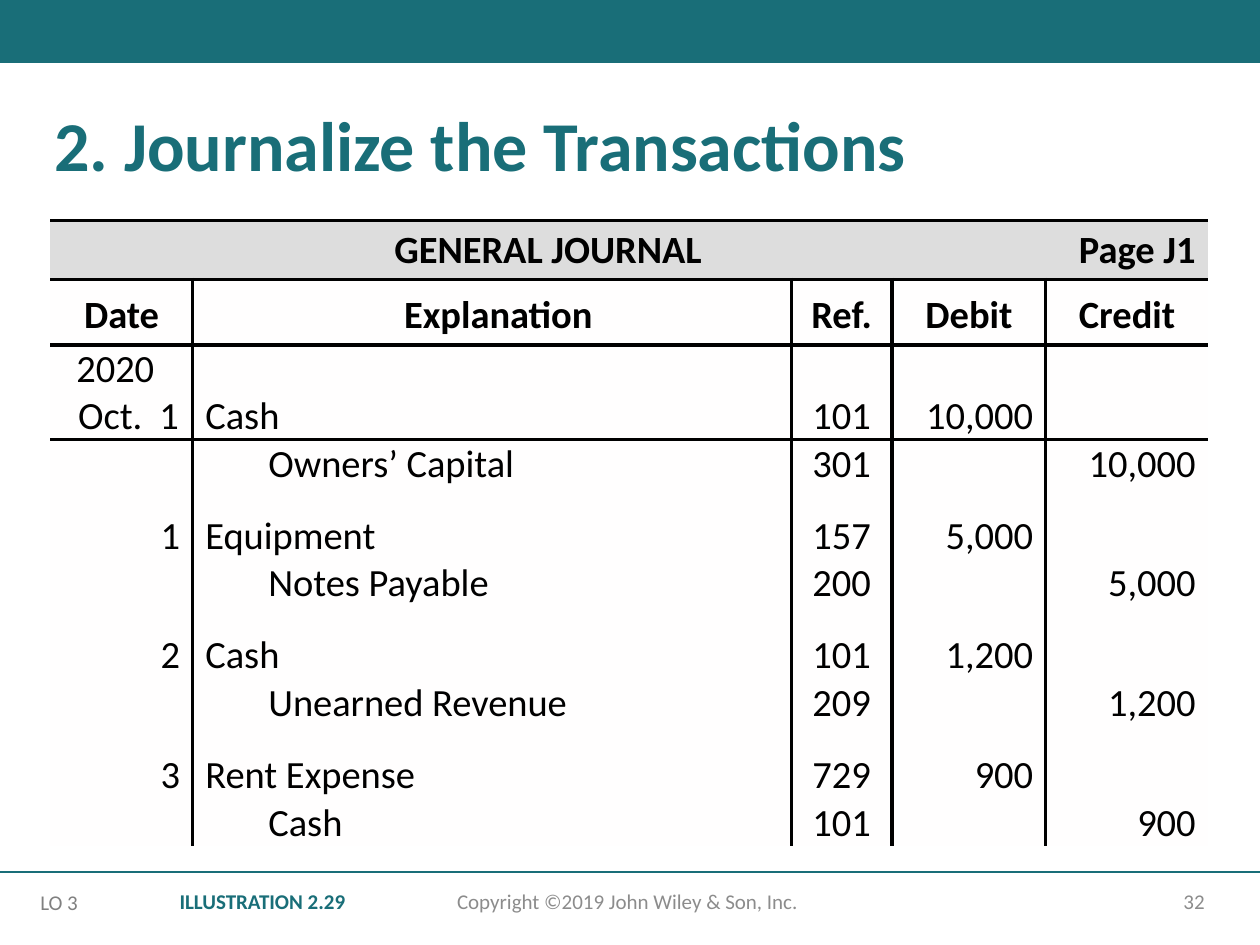
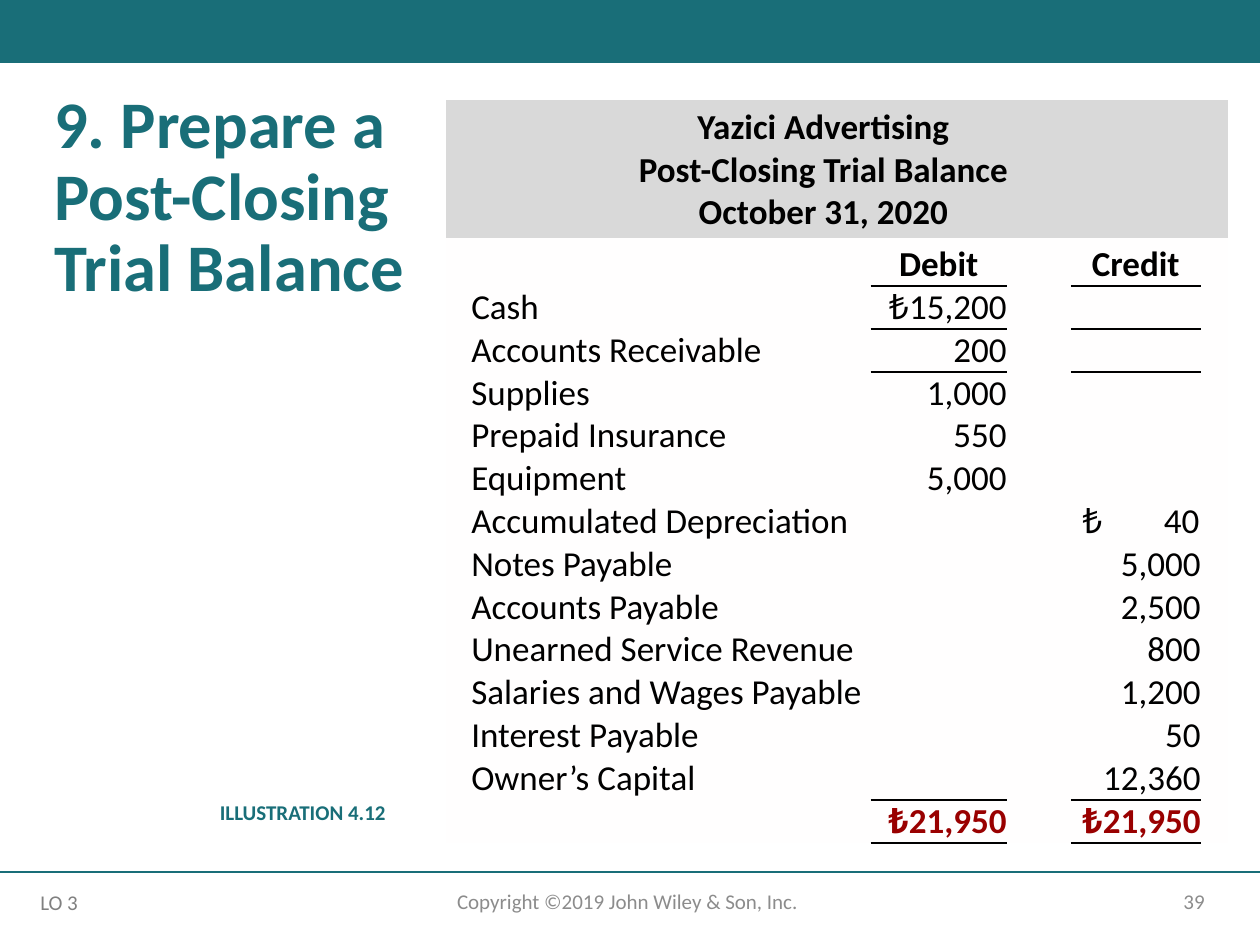
"""Builds two accounting slides: a general journal and a post-closing trial balance."""
from dataclasses import dataclass, replace
from typing import NamedTuple

from lxml.etree import SubElement
from pptx import Presentation
from pptx.dml.color import RGBColor
from pptx.enum.shapes import MSO_CONNECTOR, MSO_SHAPE
from pptx.enum.text import MSO_ANCHOR as Anchor, MSO_AUTO_SIZE as AutoSize, PP_ALIGN as Align
from pptx.oxml import parse_xml
from pptx.oxml.ns import nsdecls, qn
from pptx.util import Inches, Pt

FONT = "Calibri"
TITLE_ONLY = 5
NO_STYLE = "{2D5ABB26-0587-4C30-8999-92F81FD0307C}"
COLORS = {
    "teal": "196E78", "black": "000000", "paper": "FFFEFE", "journal_head": "DDDDDD",
    "balance_head": "D9D9D9", "footer": "8C8C8C", "objective": "808080", "total": "990000",
}


class Box(NamedTuple):
    left: float
    top: float
    width: float
    height: float

    def emu(self) -> tuple:
        return tuple(Inches(length) for length in self)


class Tab(NamedTuple):
    position: float
    align: str


@dataclass(frozen=True)
class Label:
    text: str
    box: Box
    color: str = "footer"
    align: Align = Align.RIGHT
    bold: bool = False
    anchor: Anchor = Anchor.MIDDLE
    inset: float = 0.1


@dataclass(frozen=True)
class CellLook:
    size: int
    align: Align = Align.CENTER
    bold: bool = False
    color: str = "black"
    fill: str = "paper"
    anchor: Anchor = Anchor.BOTTOM
    left: float = 0
    top: float = 0
    right: float = 0
    bottom: float = 0
    tabs: tuple = ()


class Entry(NamedTuple):
    date: str
    account: str
    ref: str
    debit: str
    credit: str


class Balance(NamedTuple):
    account: str
    debit: str
    credit: str


JOURNAL_COLUMNS = (1.13, 4.75, 0.8, 1.22, 1.29)
JOURNAL_HEADS = ("Date", "Explanation", "Ref.", "Debit", "Credit")
JOURNAL = (
    Entry("2020\n\tOct.\t1", "Cash", "101", "10,000", ""),
    Entry("", "Owners’ Capital", "301", "", "10,000"),
    Entry("1", "Equipment", "157", "5,000", ""),
    Entry("", "Notes Payable", "200", "", "5,000"),
    Entry("2", "Cash", "101", "1,200", ""),
    Entry("", "Unearned Revenue", "209", "", "1,200"),
    Entry("3", "Rent Expense", "729", "900", ""),
    Entry("", "Cash", "101", "", "900"),
)

BALANCE_COLUMNS = (3.37, 1.08, 0.51, 1.03, 0.22)
BALANCE_HEAD = "Yazici Advertising\nPost-Closing Trial Balance\nOctober 31, 2020"
BALANCES = (
    Balance("Cash", "₺15,200", ""),
    Balance("Accounts Receivable", "200", ""),
    Balance("Supplies", "1,000", ""),
    Balance("Prepaid Insurance", "550", ""),
    Balance("Equipment", "5,000", ""),
    Balance("Accumulated Depreciation", "", "₺\t40"),
    Balance("Notes Payable", "", "5,000"),
    Balance("Accounts Payable", "", "2,500"),
    Balance("Unearned Service Revenue", "", "800"),
    Balance("Salaries and Wages Payable", "", "1,200"),
    Balance("Interest Payable", "", "50"),
    Balance("Owner’s Capital", "", "12,360"),
    Balance("", "₺21,950", "₺21,950"),
)


def rgb(name: str) -> RGBColor:
    return RGBColor.from_string(COLORS[name])


def style_runs(paragraph, size: int, color: str, bold: bool) -> None:
    for run in paragraph.runs:
        run.font.name = FONT
        run.font.size = Pt(size)
        run.font.bold = bold
        run.font.color.rgb = rgb(color)


def add_label(slide, label: Label) -> None:
    frame = slide.shapes.add_textbox(*label.box.emu()).text_frame
    frame.word_wrap = True
    frame.vertical_anchor = label.anchor
    frame.margin_left = frame.margin_right = Inches(label.inset)
    frame.text = label.text
    paragraph = frame.paragraphs[0]
    paragraph.alignment = label.align
    style_runs(paragraph, 12, label.color, label.bold)


def add_illustration(slide, number: str, box: Box) -> None:
    add_label(slide, Label(f"ILLUSTRATION {number}", box, "teal", bold=True, anchor=Anchor.TOP))


def add_base_slide(deck, title: str, title_box: Box, title_size: int, page: str):
    slide = deck.slides.add_slide(deck.slide_layouts[TITLE_ONLY])
    band = slide.shapes.add_shape(MSO_SHAPE.RECTANGLE, *Box(0, 0, 10, 0.5).emu())
    band.shadow.inherit = False
    band.fill.solid()
    band.fill.fore_color.rgb = rgb("teal")
    band.line.fill.background()

    footer_rule = slide.shapes.add_connector(
        MSO_CONNECTOR.STRAIGHT, 0, Inches(6.92), Inches(10), Inches(6.92))
    footer_rule.line.color.rgb = rgb("teal")
    footer_rule.line.width = Pt(1)
    SubElement(footer_rule._element.spPr, qn("a:effectLst"))

    heading = slide.shapes.title
    heading.left, heading.top, heading.width, heading.height = title_box.emu()
    frame = heading.text_frame
    frame.text = title
    frame.word_wrap = True
    frame.auto_size = AutoSize.NONE
    frame.vertical_anchor = Anchor.TOP
    paragraph = frame.paragraphs[0]
    paragraph.alignment = Align.LEFT
    paragraph.line_spacing = 0.9
    style_runs(paragraph, title_size, "teal", True)

    add_label(slide, Label(page, Box(7.06, 6.95, 2.6, 0.4)))
    add_label(slide, Label("Copyright ©2019 John Wiley & Son, Inc.",
                           Box(3.29, 6.95, 3.38, 0.4), align=Align.CENTER))
    add_label(slide, Label("LO 3", Box(0.32, 7.01, 0.46, 0.3), "objective",
                           Align.LEFT, anchor=Anchor.TOP, inset=0))
    return slide


def add_grid(slide, box: Box, columns: tuple, rows: tuple):
    table = slide.shapes.add_table(len(rows), len(columns), *box.emu()).table
    table.first_row = table.horz_banding = False
    table._tbl.tblPr.find(qn("a:tableStyleId")).text = NO_STYLE
    for column, width in zip(table.columns, columns):
        column.width = Inches(width)
    for row, height in zip(table.rows, rows):
        row.height = Inches(height)
    return table


def fill_cell(cell, text: str, look: CellLook) -> None:
    cell.fill.solid()
    cell.fill.fore_color.rgb = rgb(look.fill)
    cell.vertical_anchor = look.anchor
    cell.margin_left, cell.margin_top = Inches(look.left), Inches(look.top)
    cell.margin_right, cell.margin_bottom = Inches(look.right), Inches(look.bottom)
    cell.text_frame.text = text
    for paragraph in cell.text_frame.paragraphs:
        paragraph.alignment = look.align
        if "\t" in paragraph.text:
            paragraph.alignment = Align.LEFT
            stops = SubElement(paragraph._p.get_or_add_pPr(), qn("a:tabLst"))
            for tab in look.tabs:
                SubElement(stops, qn("a:tab"), pos=str(Inches(tab.position)), algn=tab.align)
        style_runs(paragraph, look.size, look.color, look.bold)


def rule_cell(cell, sides: str, width: float) -> None:
    """Draws black borders on the sides, which are given in the order LRTB."""
    properties = cell._tc.get_or_add_tcPr()
    for index, side in enumerate(sides):
        properties.insert(index, parse_xml(
            f'<a:ln{side} {nsdecls("a")} w="{Pt(width)}"><a:solidFill>'
            f'<a:srgbClr val="{COLORS["black"]}"/></a:solidFill></a:ln{side}>'))


def build_journal(deck) -> None:
    slide = add_base_slide(deck, "2. Journalize the Transactions",
                           Box(0.33, 0.83, 9.3, 0.71), 40, "32")
    add_illustration(slide, "2.29", Box(1.17, 7, 1.67, 0.3))
    entry_heights = [0.75, 0.38] + [0.57, 0.38] * 3
    table = add_grid(slide, Box(0.4, 1.75, 9.19, 4.91), JOURNAL_COLUMNS,
                     (0.47, 0.52, *entry_heights))

    head = CellLook(22, bold=True, fill="journal_head", anchor=Anchor.MIDDLE, top=0.05, bottom=0.05)
    last = len(JOURNAL_COLUMNS) - 1
    for column in range(last):
        fill_cell(table.cell(0, column), "", head)
    table.cell(0, 0).merge(table.cell(0, last - 1))
    fill_cell(table.cell(0, 0), "GENERAL JOURNAL", head)
    fill_cell(table.cell(0, last), "Page J1", replace(head, align=Align.RIGHT, right=0.1))

    for column, name in enumerate(JOURNAL_HEADS):
        fill_cell(table.cell(1, column), name, CellLook(
            22, bold=True, top=0.1, bottom=0.05, left=0.1 if name == "Explanation" else 0))

    for index, entry in enumerate(JOURNAL):
        is_debit = bool(entry.debit)
        body = CellLook(22, top=0.2 if is_debit and index else 0)
        amount = replace(body, align=Align.RIGHT, right=0.1)
        looks = (replace(amount, tabs=(Tab(0.22, "l"), Tab(1.02, "r"))),
                 replace(body, align=Align.LEFT, left=0.1 if is_debit else 0.6),
                 body, amount, amount)
        for column, (text, look) in enumerate(zip(entry, looks)):
            fill_cell(table.cell(index + 2, column), text, look)
    table.cell(2, 0).text_frame.paragraphs[0].alignment = Align.CENTER

    for row in range(len(table.rows)):
        for column in range(last + 1):
            sides = ""
            if row:
                sides += "L" * (column > 0) + "R" * (column < last)
            sides += "T" * (row <= 2) + "B" * (row <= 1)
            rule_cell(table.cell(row, column), sides, 2.25)


def build_trial_balance(deck) -> None:
    slide = add_base_slide(deck, "9. Prepare a Post-Closing Trial Balance",
                           Box(0.33, 0.67, 3.1, 2.4), 38, "39")
    add_illustration(slide, "4.12", Box(1.29, 6.3, 1.87, 0.28))
    table = add_grid(slide, Box(3.54, 0.79, 6.21, 5.88), BALANCE_COLUMNS,
                     (1.1, 0.38, *[0.34] * len(BALANCES)))

    head = CellLook(20, bold=True, fill="balance_head", anchor=Anchor.MIDDLE, top=0.05, bottom=0.05)
    last = len(BALANCE_COLUMNS) - 1
    for column in range(last + 1):
        fill_cell(table.cell(0, column), "", head)
    table.cell(0, 0).merge(table.cell(0, last - 1))
    fill_cell(table.cell(0, 0), BALANCE_HEAD, head)

    for column, name in enumerate(("", "Debit", "", "Credit", "")):
        fill_cell(table.cell(1, column), name, CellLook(20, bold=True))

    for row, balance in enumerate(BALANCES, start=2):
        is_total = not balance.account
        amount = CellLook(20, Align.RIGHT, is_total, "total" if is_total else "black")
        credit = amount
        if "\t" in balance.credit:
            credit = replace(amount, left=0.09, tabs=(Tab(0.93, "r"),))
        fill_cell(table.cell(row, 0), balance.account, CellLook(20, Align.LEFT, left=0.2))
        fill_cell(table.cell(row, 1), balance.debit, amount)
        fill_cell(table.cell(row, 2), "", amount)
        fill_cell(table.cell(row, 3), balance.credit, credit)
        fill_cell(table.cell(row, 4), "", amount)

    total_row = len(BALANCES) + 1
    ruled_rows = {1: "B", 2: "TB", 3: "T", total_row - 1: "B", total_row: "TB"}
    for row, sides in ruled_rows.items():
        for column in (1, 3):
            rule_cell(table.cell(row, column), sides, 1.5)


def main() -> None:
    deck = Presentation()
    deck.slide_width, deck.slide_height = Inches(10), Inches(7.5)
    build_journal(deck)
    build_trial_balance(deck)
    deck.save("out.pptx")


if __name__ == "__main__":
    main()
